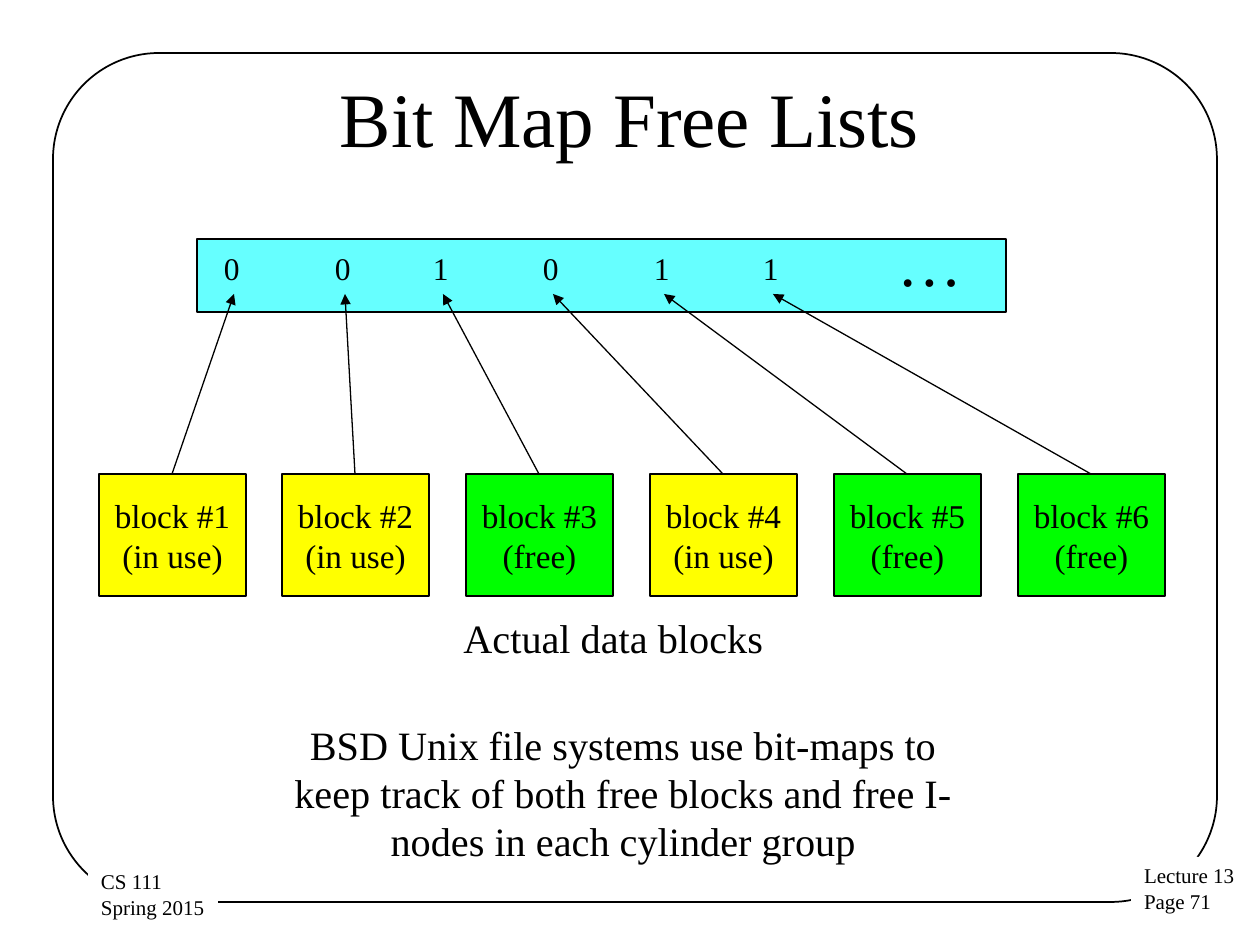
from pptx import Presentation, util as u
from pptx.dml.color import RGBColor
from pptx.enum import shapes, text
from pptx.oxml.ns import qn
from lxml import etree

SCALE = 914400 / 126
FONT = "Times New Roman"
COLORS = {"ink": "000000", "paper": "FFFFFF", "bitmap": "66FFFF",
          "in use": "FFFF00", "free": "00FF00"}
BITS = [0, 0, 1, 0, 1, 1]
BIT_LEFTS = [12, 123, 221, 331, 442, 551]


def px(length):
    return u.Emu(round(length * SCALE))


def color(name):
    return RGBColor.from_string(COLORS[name])


def add_box(page, box, fill=None, line=None, kind=shapes.MSO_SHAPE.RECTANGLE):
    shape = page.shapes.add_shape(kind, *map(px, box))
    shape.shadow.inherit = False
    if fill:
        shape.fill.solid()
        shape.fill.fore_color.rgb = color(fill)
    else:
        shape.fill.background()
    if line:
        shape.line.color.rgb = color("ink")
        shape.line.width = u.Pt(line)
    else:
        shape.line.fill.background()
    return shape


def write(shape, lines, size, align=text.PP_ALIGN.LEFT,
          anchor=text.MSO_ANCHOR.TOP, insets=(15, 8), wrap=True):
    """Fill a shape with one paragraph per line; insets are (side, top)."""
    frame = shape.text_frame
    frame.word_wrap = wrap
    frame.vertical_anchor = anchor
    frame.margin_left = frame.margin_right = px(insets[0])
    frame.margin_top = frame.margin_bottom = px(insets[1])
    for index, line in enumerate(lines):
        para = frame.add_paragraph() if index else frame.paragraphs[0]
        para.alignment = align
        span = para.add_run()
        span.text = line
        span.font.name = FONT
        span.font.size = u.Pt(size)
        span.font.color.rgb = color("ink")


def add_label(page, box, words, size, **style):
    write(page.shapes.add_textbox(*map(px, box)), [words], size, **style)


def add_arrow(page, start, end):
    arrow = page.shapes.add_connector(
        shapes.MSO_CONNECTOR.STRAIGHT, *map(px, start + end))
    arrow.line.color.rgb = color("ink")
    arrow.line.width = u.Pt(0.75)
    outline = arrow.line._get_or_add_ln()
    etree.SubElement(outline, qn("a:tailEnd"), type="triangle")
    etree.SubElement(arrow._element.spPr, qn("a:effectLst"))


def add_frame(page, box):
    left, top, width, height = box
    border = add_box(page, box, line=1,
                     kind=shapes.MSO_SHAPE.ROUNDED_RECTANGLE)
    border.adjustments[0] = 0.125
    tags = [((left + 1078, top + 804, 117, 64), ["Lecture 13", "Page 71"]),
            ((left + 35, top + 810, 130, 64), ["CS 111", "Spring 2015"])]
    for tag_box, lines in tags:
        write(add_box(page, tag_box, fill="paper"), lines, 12,
              insets=(13, 6), wrap=False)


def add_blocks(page, box):
    """Draw the data blocks evenly across the box; return their top centres."""
    left, top, width, height = box
    block_width = 147
    tops = []
    for index, bit in enumerate(BITS):
        state = "free" if bit else "in use"
        x = left + (width - block_width) * index // (len(BITS) - 1)
        block = add_box(page, (x, top, block_width, height), state, 0.75)
        write(block, [f"block #{index + 1}", f"({state})"], 19,
              text.PP_ALIGN.CENTER, text.MSO_ANCHOR.MIDDLE, wrap=False)
        tops.append((x + block_width // 2, top))
    return tops


def add_bitmap(page, box):
    """Draw the bit map bar; return the point under each bit."""
    left, top, width, height = box
    add_box(page, box, "bitmap", 0.75)
    for bit, offset in zip(BITS, BIT_LEFTS):
        add_label(page, (left + offset, top + 2, 49, 53), str(bit), 18)
    add_label(page, (left + 686, top - 25, 135, 92), "…", 37)
    return [(left + offset + 25, top + 55) for offset in BIT_LEFTS]


def main():
    deck = Presentation()
    deck.slide_width, deck.slide_height = px(1260), px(945)
    page = deck.slides.add_slide(deck.slide_layouts[6])
    centered = {"align": text.PP_ALIGN.CENTER}

    add_frame(page, (53, 53, 1164, 849))
    add_label(page, (63, 38, 1134, 158), "Bit Map Free Lists", 44,
              anchor=text.MSO_ANCHOR.MIDDLE, **centered)
    block_tops = add_blocks(page, (99, 474, 1066, 122))
    bit_points = add_bitmap(page, (197, 239, 809, 73))
    for start, end in zip(block_tops, bit_points):
        add_arrow(page, start, end)
    add_label(page, (209, 605, 809, 63), "Actual data blocks", 23, **centered)
    add_label(page, (252, 712, 743, 160),
              "BSD Unix file systems use bit-maps to keep track of both free "
              "blocks and free I-nodes in each cylinder group", 23, **centered)
    deck.save("out.pptx")


if __name__ == "__main__":
    main()
